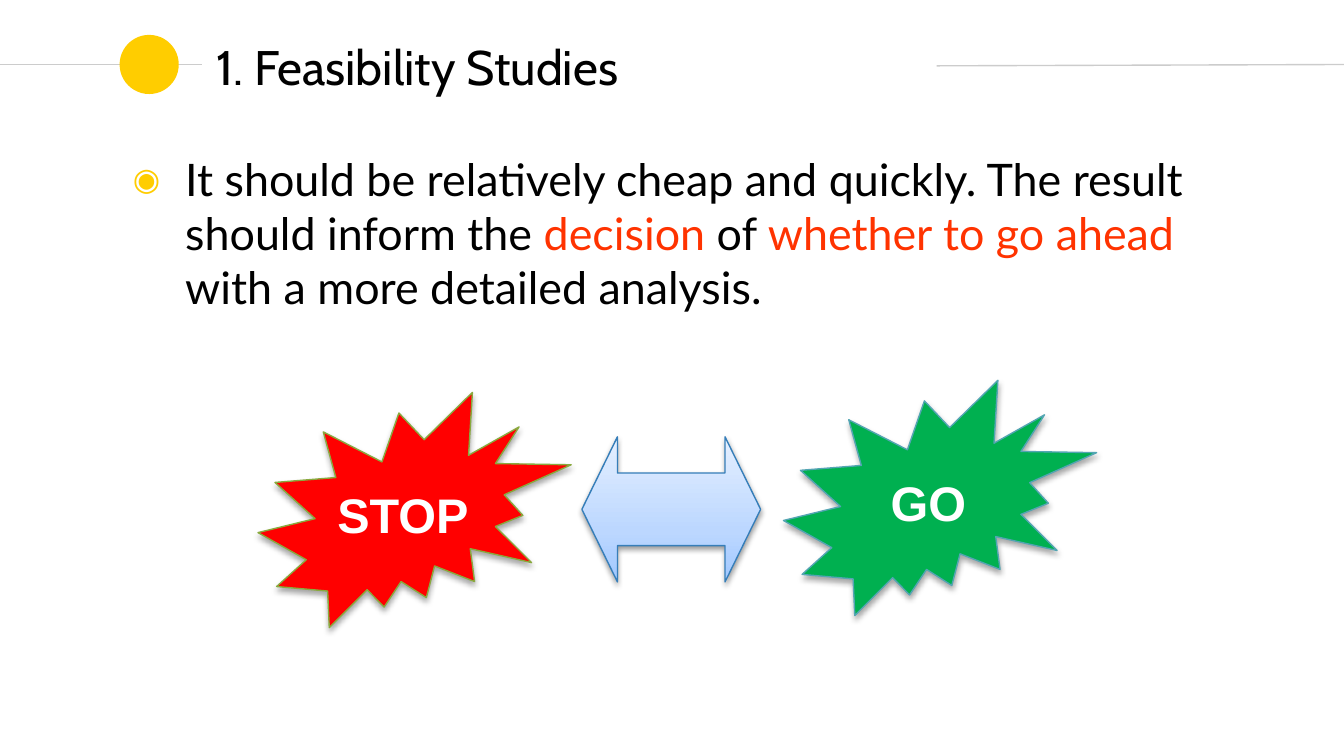
from lxml import etree
from pptx import Presentation
from pptx import util as u
from pptx.dml.color import RGBColor
from pptx.enum import shapes, text
from pptx.oxml.ns import qn

COLORS = {
    "rule": "CCCCCC", "accent": "FFCD00", "ink": "000000", "alert": "FF3300",
    "white": "FFFFFF", "stop": "FF0000", "stop_edge": "89AA3E",
    "go": "00B050", "go_edge": "53A5B3", "arrow_edge": "367EB9",
    "arrow_low": "A0C8FF", "arrow_mid": "BCD7FF", "arrow_high": "E5F0FF",
}


def rgb(name):
    return RGBColor.from_string(COLORS[name])


def add_node(parent, tag, **attributes):
    node = etree.SubElement(parent, qn(tag))
    for key, value in attributes.items():
        node.set(key, str(value))
    return node


def add_span(para, words, font="Lato", size=24, color="ink", bold=False):
    span = para.add_run()
    span.text = words
    span.font.name = font
    span.font.size = u.Pt(size)
    span.font.bold = bold
    span.font.color.rgb = rgb(color)


class SlideBuilder:
    def __init__(self, deck):
        self.page = deck.slides.add_slide(deck.slide_layouts[6])

    def rule(self, x1, y1, x2, y2):
        line = self.page.shapes.add_connector(
            shapes.MSO_CONNECTOR.STRAIGHT, *map(u.Inches, (x1, y1, x2, y2)))
        line.line.color.rgb = rgb("rule")
        line.line.width = u.Pt(0.75)
        add_node(line._element.spPr, "a:effectLst")

    def shape(self, kind, area, fill=None, edge=None):
        shape = self.page.shapes.add_shape(kind, *map(u.Inches, area))
        shape.shadow.inherit = False
        if fill:
            shape.fill.solid()
            shape.fill.fore_color.rgb = rgb(fill)
        if edge:
            shape.line.color.rgb = rgb(edge)
            shape.line.width = u.Pt(0.75)
        else:
            shape.line.fill.background()
        return shape

    def drop_shadow(self, shape, distance, opacity):
        effects = shape._element.spPr.find(qn("a:effectLst"))
        shadow = add_node(effects, "a:outerShdw", blurRad=u.Pt(3.1),
                          dist=u.Pt(distance), dir=90 * 60000, rotWithShape=0)
        color = add_node(shadow, "a:srgbClr", val=COLORS["ink"])
        add_node(color, "a:alpha", val=opacity * 1000)

    def burst(self, left, top, label, fill, edge):
        burst = self.shape(shapes.MSO_SHAPE.EXPLOSION2,
                           (left, top, 2.33, 1.75), fill, edge)
        self.drop_shadow(burst, 1.8, 35)
        frame = burst.text_frame
        frame.word_wrap = False
        frame.vertical_anchor = text.MSO_ANCHOR.MIDDLE
        para = frame.paragraphs[0]
        para.alignment = text.PP_ALIGN.CENTER
        add_span(para, label, "Arial", 26, "white", True)

    def double_arrow(self, area, stops):
        arrow = self.shape(shapes.MSO_SHAPE.LEFT_RIGHT_ARROW, area,
                           edge="arrow_edge")
        arrow.adjustments[0] = 0.5
        arrow.adjustments[1] = 0.245
        arrow.fill.gradient()
        arrow.fill.gradient_angle = 90
        stop_list = arrow._element.spPr.find(".//" + qn("a:gsLst"))
        for old_stop in list(stop_list):
            stop_list.remove(old_stop)
        for position, color in stops:
            stop = add_node(stop_list, "a:gs", pos=position * 1000)
            add_node(stop, "a:srgbClr", val=COLORS[color])
        self.drop_shadow(arrow, 1.6, 38)

    def text_box(self, area, anchor=text.MSO_ANCHOR.TOP):
        box = self.page.shapes.add_textbox(*map(u.Inches, area))
        frame = box.text_frame
        frame.word_wrap = True
        frame.vertical_anchor = anchor
        frame.margin_left = frame.margin_right = u.Inches(0.1)
        frame.margin_top = frame.margin_bottom = u.Inches(0.1)
        return frame.paragraphs[0]

    def bullet(self, para, mark, indent):
        properties = para._p.get_or_add_pPr()
        properties.set("marL", str(u.Inches(indent)))
        properties.set("indent", str(-u.Inches(indent)))
        color = add_node(properties, "a:buClr")
        add_node(color, "a:srgbClr", val=COLORS["accent"])
        add_node(properties, "a:buSzPct", val=70000)
        add_node(properties, "a:buFont", typeface="Lato")
        add_node(properties, "a:buChar", char=mark)


def main():
    # Widescreen page, 16:9
    deck = Presentation()
    deck.slide_width = u.Inches(10)
    deck.slide_height = u.Inches(10 * 9 / 16)
    slide = SlideBuilder(deck)

    # Header
    slide.rule(0, 0.48, 1.5, 0.48)
    slide.shape(shapes.MSO_SHAPE.OVAL, (0.89, 0.26, 0.44, 0.44), "accent")
    slide.rule(6.97, 0.49, 10, 0.48)
    title = slide.text_box((1.51, 0.25, 5.46, 0.48), text.MSO_ANCHOR.MIDDLE)
    add_span(title, "1. Feasibility Studies", "Cabin", 26)

    # Body
    body = slide.text_box((0.89, 1.03, 8.06, 4.15))
    slide.bullet(body, "◉", 0.39)
    for words, color in (
        ("It should be relatively cheap and quickly. "
         "The result should inform the ", "ink"),
        ("decision ", "alert"),
        ("of ", "ink"),
        ("whether to go ahead", "alert"),
        (" with a more detailed analysis.", "ink"),
    ):
        add_span(body, words, color=color)

    # Stop or go decision
    slide.double_arrow((4.33, 3.25, 1.33, 1.08),
                       ((0, "arrow_low"), (35, "arrow_mid"), (100, "arrow_high")))
    slide.burst(1.92, 2.92, "STOP", "stop", "stop_edge")
    slide.burst(5.83, 2.83, "GO", "go", "go_edge")

    deck.save("out.pptx")


if __name__ == "__main__":
    main()
